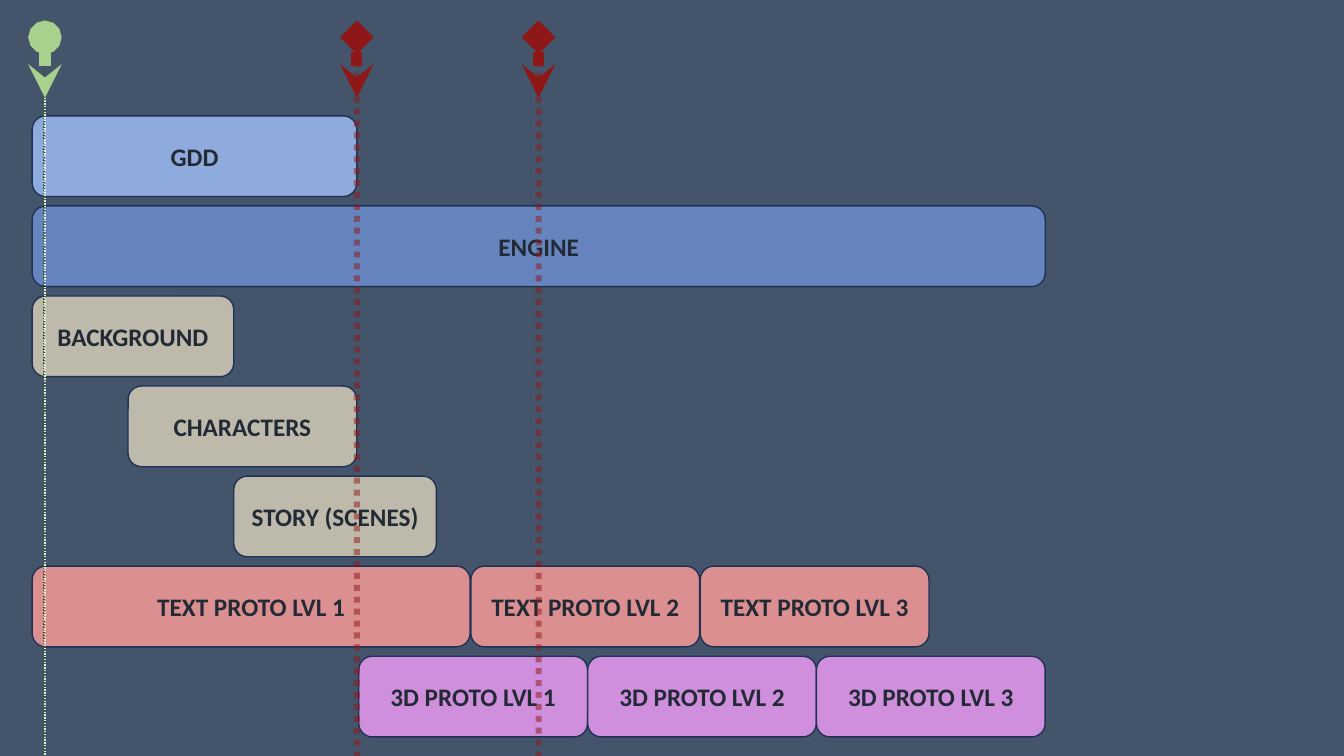
from pptx import Presentation
from pptx import util as u
from pptx.dml.color import RGBColor
from pptx.enum import shapes, text
from pptx.oxml import ns
from lxml import etree

ROWS = [
    ("gdd", [("GDD", 23, 254.9)]),
    ("engine", [("ENGINE", 23, 746.6)]),
    ("narrative", [("BACKGROUND", 23, 167)]),
    ("narrative", [("CHARACTERS", 91.5, 254.9)]),
    ("narrative", [("STORY (SCENES)", 167, 311.7)]),
    ("text_proto", [
        ("TEXT PROTO LVL 1", 23, 335.8),
        ("TEXT PROTO LVL 2", 336.4, 499.8),
        ("TEXT PROTO LVL 3", 500.2, 663.6),
    ]),
    ("3d_proto", [
        ("3D PROTO LVL 1", 256.3, 419.7),
        ("3D PROTO LVL 2", 419.8, 583.1),
        ("3D PROTO LVL 3", 583.2, 746.6),
    ]),
]

THEME = {
    "font": "Calibri",
    "label_size": 18,
    "background": "44546A",
    "label": "222A35",
    "outline": "1E3256",
    "gdd": "8FAADC",
    "engine": "6685BF",
    "narrative": "BEBAAB",
    "text_proto": "DC8F90",
    "3d_proto": "D08FDC",
    "deadline": "8E1718",
    "start_shade": "385723",
    "start": "A9D18E",
    "start_guide": "E2F0D9",
}

SLIDE_W, SLIDE_H = 960, 540
FIRST_ROW, ROW_STEP, BAR_H = 82.8, 64.33, 57.6
MARKER_TOP, MARKER_TIP = 26.6, 69.8
DEADLINES = [254.9, 384.7]
START_X, START_SHADE_X = 32.1, 31.4


def color(name):
    return RGBColor.from_string(THEME[name])


def add_bar(slide, label, left, right, top, fill):
    bar = slide.shapes.add_shape(
        shapes.MSO_SHAPE.ROUNDED_RECTANGLE,
        u.Pt(left), u.Pt(top), u.Pt(right - left), u.Pt(BAR_H))
    bar.shadow.inherit = False
    bar.fill.solid()
    bar.fill.fore_color.rgb = color(fill)
    bar.line.color.rgb = color("outline")
    bar.line.width = u.Pt(1)
    frame = bar.text_frame
    frame.text = label
    frame.word_wrap = True
    frame.vertical_anchor = text.MSO_ANCHOR.MIDDLE
    paragraph = frame.paragraphs[0]
    paragraph.alignment = text.PP_ALIGN.CENTER
    font = paragraph.runs[0].font
    font.name = THEME["font"]
    font.size = u.Pt(THEME["label_size"])
    font.bold = True
    font.color.rgb = color("label")


def add_vertical(group, x, top, bottom, stroke, width, dotted=False, opacity=None, head=None):
    line = group.shapes.add_connector(
        shapes.MSO_CONNECTOR.STRAIGHT, u.Pt(x), u.Pt(top), u.Pt(x), u.Pt(bottom))
    line.line.color.rgb = color(stroke)
    line.line.width = u.Pt(width)
    properties = line.element.spPr
    outline = properties.find(ns.qn("a:ln"))
    if opacity:
        paint = outline.find(ns.qn("a:solidFill"))[0]
        etree.SubElement(paint, ns.qn("a:alpha"), val=str(opacity * 1000))
    if dotted:
        etree.SubElement(outline, ns.qn("a:prstDash"), val="sysDot")
    if head:
        etree.SubElement(outline, ns.qn("a:headEnd"), type=head)
        etree.SubElement(outline, ns.qn("a:tailEnd"), type="stealth")
    etree.SubElement(properties, ns.qn("a:effectLst"))


def add_marker(group, x, stroke, head):
    add_vertical(group, x, MARKER_TOP, MARKER_TIP, stroke, 8, head=head)


def main():
    deck = Presentation()
    deck.slide_width, deck.slide_height = u.Pt(SLIDE_W), u.Pt(SLIDE_H)
    slide = deck.slides.add_slide(deck.slide_layouts[6])
    slide.background.fill.solid()
    slide.background.fill.fore_color.rgb = color("background")

    for row, (fill, bars) in enumerate(ROWS):
        for label, left, right in bars:
            add_bar(slide, label, left, right, FIRST_ROW + row * ROW_STEP, fill)

    for x in DEADLINES:
        deadline = slide.shapes.add_group_shape()
        add_vertical(deadline, x, MARKER_TOP, SLIDE_H, "deadline", 4.25, dotted=True, opacity=50)
        add_marker(deadline, x, "deadline", "diamond")

    start = slide.shapes.add_group_shape()
    add_vertical(start, START_SHADE_X, MARKER_TOP, SLIDE_H, "start_shade", 1, dotted=True)
    add_marker(start, START_X, "start", "oval")
    add_vertical(start, START_X, MARKER_TIP, SLIDE_H, "start_guide", 1, dotted=True)

    deck.save("out.pptx")


if __name__ == "__main__":
    main()
